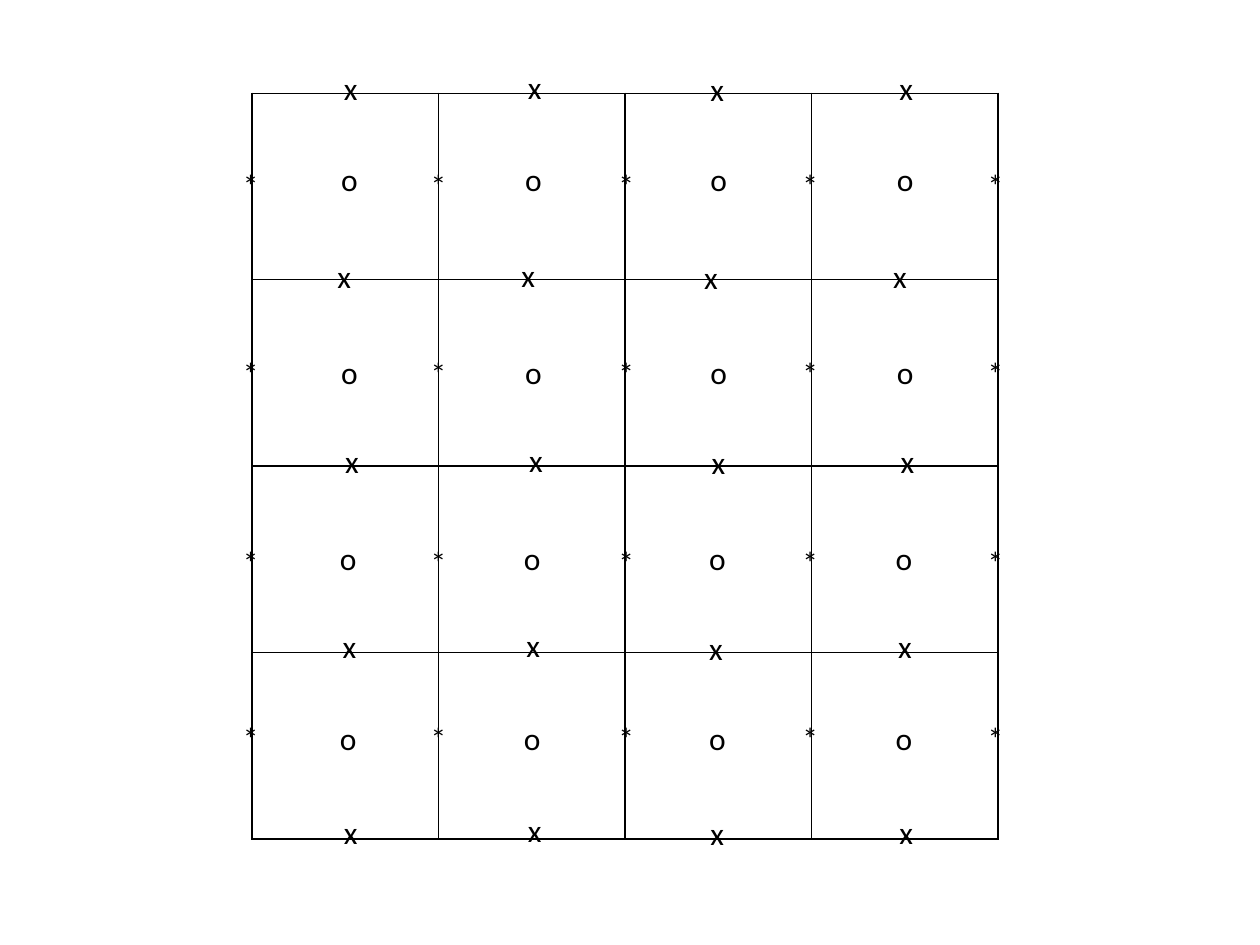
from itertools import product

from lxml import etree
from pptx import Presentation
from pptx.dml.color import RGBColor
from pptx.enum import text
from pptx.oxml import ns
from pptx.util import Inches, Pt

THEME = {"font": "Calibri", "size": 18, "ink": "000000", "paper": "FFFFFF", "line": 1}
GRID = {"left": 2, "top": 0.74, "cell": 1.48, "count": 4}
MARKS = [
    {"mark": "o", "width": 0.34,
     "columns": [(2.61, 0), (4.07, 0), (5.54, 0), (7.02, 0)],
     "rows": [(1.22, 0), (2.75, 0), (4.23, -0.01), (5.66, -0.01)]},
    {"mark": "x", "width": 0.31,
     "columns": [(2.63, 0), (4.09, -0.01), (5.54, 0.01), (7.04, 0)],
     "rows": [(0.5, 0), (1.99, -0.05), (3.46, 0.01), (4.93, -0.01), (6.4, 0)]},
    {"mark": "*", "width": 0.33,
     "columns": [(1.83, 0), (3.32, 0), (4.81, 0), (6.27, 0), (7.74, 0)],
     "rows": [(1.27, 0), (2.76, 0), (4.26, 0), (5.66, 0)]},
]
MARK_HEIGHT = 0.4


def add_text(shapes, words, left, top, width, height, size=THEME["size"], color=THEME["ink"]):
    sp = shapes.add_textbox(Inches(left), Inches(top), Inches(width), Inches(height))
    tf = sp.text_frame
    tf.word_wrap = False
    tf.auto_size = text.MSO_AUTO_SIZE.SHAPE_TO_FIT_TEXT
    r = tf.paragraphs[0].add_run()
    r.text = words
    r.font.name = THEME["font"]
    r.font.size = Pt(size)
    r.font.color.rgb = RGBColor.from_string(color)
    return sp


def set_borders(cell):
    tc_pr = cell._tc.get_or_add_tcPr()
    for i, side in enumerate(("lnL", "lnR", "lnT", "lnB")):
        ln = etree.Element(ns.qn(f"a:{side}"), w=str(Pt(THEME["line"])))
        fill = etree.SubElement(ln, ns.qn("a:solidFill"))
        etree.SubElement(fill, ns.qn("a:srgbClr"), val=THEME["ink"])
        tc_pr.insert(i, ln)


def add_grid(s):
    n, cell_size = GRID["count"], Inches(GRID["cell"])
    table = s.shapes.add_table(n, n, Inches(GRID["left"]), Inches(GRID["top"]),
                               cell_size * n, cell_size * n).table
    table.first_row = table.horz_banding = False
    for line in (*table.columns, *table.rows):
        if hasattr(line, "width"):
            line.width = cell_size
        else:
            line.height = cell_size
    for row, column in product(range(n), repeat=2):
        cell = table.cell(row, column)
        cell.fill.solid()
        cell.fill.fore_color.rgb = RGBColor.from_string(THEME["paper"])
        set_borders(cell)


def add_marks(s, mark, width, columns, rows):
    for top, shift in rows:
        group = s.shapes.add_group_shape()
        for left, drop in reversed(columns):
            add_text(group.shapes, mark, left + shift, top + drop, width, MARK_HEIGHT)


prs = Presentation()
prs.slide_width, prs.slide_height = Inches(10), Inches(7.5)
s = prs.slides.add_slide(prs.slide_layouts[6])
add_grid(s)
for marks in MARKS:
    add_marks(s, **marks)
prs.save("out.pptx")
